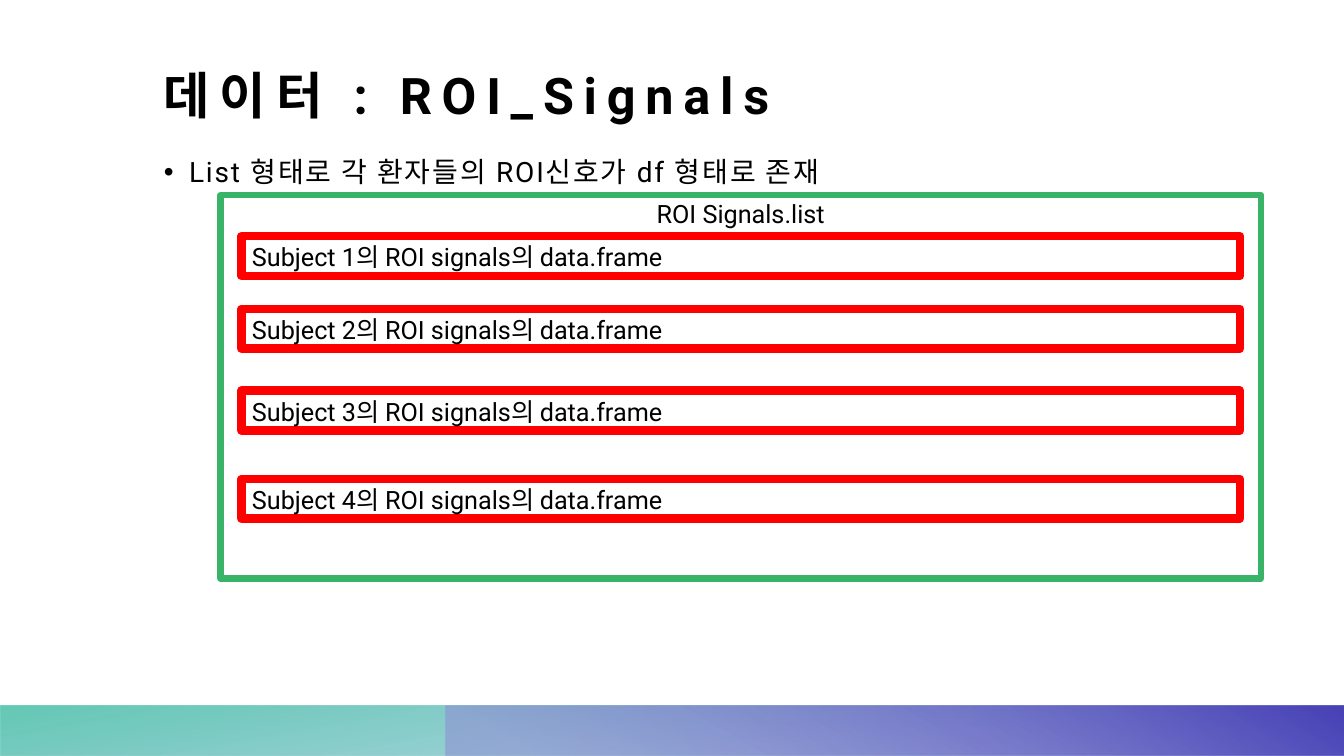
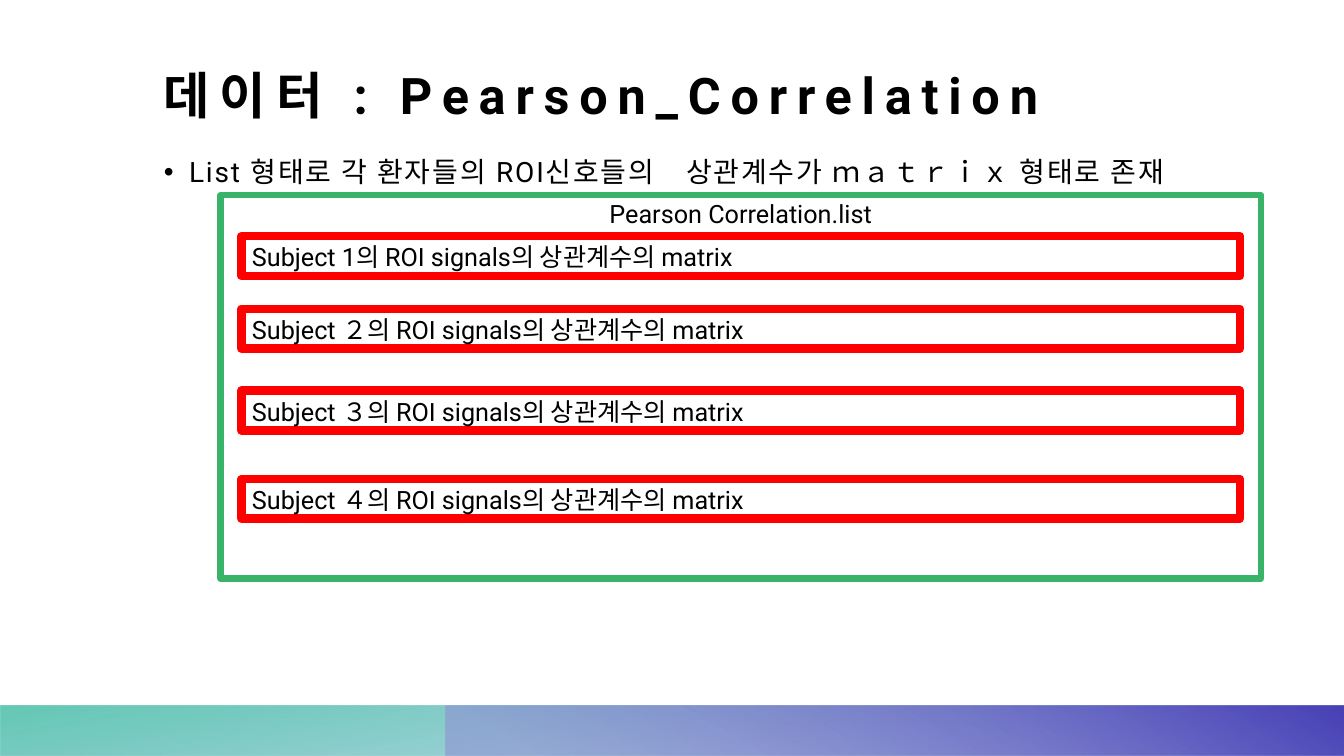
import lxml.etree
import pptx
import pptx.dml.color
import pptx.enum.shapes
import pptx.enum.text
import pptx.oxml
import pptx.oxml.ns
import pptx.util

PX = 9525  # EMU per px, 96 px to the inch
FONT = "Roboto"
BLACK, GREEN, RED = "000000", "39B368", "FF0000"
INSET = (12, 12, 12, 10)
LIST_INSET = (10, 3, 10, 5)
ROW_INSET = (10, 5, 10, 5)
RECTANGLE = pptx.enum.shapes.MSO_SHAPE.RECTANGLE
LEFT, CENTER = pptx.enum.text.PP_ALIGN.LEFT, pptx.enum.text.PP_ALIGN.CENTER
TOP, BOTTOM = pptx.enum.text.MSO_ANCHOR.TOP, pptx.enum.text.MSO_ANCHOR.BOTTOM

# box, rotation, gradient angle, stops (position, colour, opacity) in percent
BANDS = [
    ((0, 672, 1280, 48), 180, 100, [(14, "3999B3", 28), (100, "49C0A8", 85)]),
    ((424, 672, 856, 48), 0, 240, [(9, "908CD5", 55), (99, "4842B7", 100)]),
]
LIST_BOX = (210, 186, 991, 365)  # leaves room for the list name above the first row
ROW_TOPS = [225, 294, 372, 456]

SLIDES = [
    ("데이터 : ROI_Signals",
     "List 형태로 각 환자들의 ROI신호가 df 형태로 존재",
     "ROI Signals.list",
     "Subject {}의 ROI signals의 data.frame", "1234"),
    ("데이터 : Pearson_Correlation",
     "List 형태로 각 환자들의 ROI신호들의　상관계수가 ｍａｔｒｉｘ 형태로 존재",
     "Pearson Correlation.list",
     "Subject {}의 ROI signals의 상관계수의 matrix", "1２３４"),
]


def color(value):
    return pptx.dml.color.RGBColor.from_string(value)


def write(shape, text, size, inset, anchor=TOP, align=LEFT, bold=False, spacing=0, bullet=False):
    """Put one styled paragraph in the shape; spacing is in hundredths of a point."""
    frame = shape.text_frame
    frame.word_wrap = True
    frame.vertical_anchor = anchor
    frame.margin_left, frame.margin_top, frame.margin_right, frame.margin_bottom = (
        side * PX for side in inset)
    paragraph = frame.paragraphs[0]
    paragraph.alignment = align
    run = paragraph.add_run()
    run.text = text
    if spacing:
        run._r.get_or_add_rPr().set("spc", str(spacing))
    if bullet:
        paragraph.line_spacing = 1.2
        properties = paragraph._p.get_or_add_pPr()
        properties.set("marL", str(24 * PX))
        properties.set("indent", str(-24 * PX))
        for tag, name, value in (("a:buFont", "typeface", "Arial"), ("a:buChar", "char", "•")):
            lxml.etree.SubElement(properties, pptx.oxml.ns.qn(tag)).set(name, value)
    paragraph.font.name = FONT
    paragraph.font.size = pptx.util.Pt(size)
    paragraph.font.bold = bold
    paragraph.font.color.rgb = color(BLACK)


presentation = pptx.Presentation()
presentation.slide_width = 1280 * PX
presentation.slide_height = 720 * PX

for title, summary, list_name, row_text, numbers in SLIDES:
    slide = presentation.slides.add_slide(presentation.slide_layouts[6])

    for box, rotation, angle, stops in BANDS:
        band = slide.shapes.add_shape(RECTANGLE, *(length * PX for length in box))
        band.shadow.inherit = False
        band.line.fill.background()
        band.rotation = rotation
        band._element.spPr.get_or_add_xfrm().set("flipH", "1")
        stop_xml = "".join(
            f'<a:gs pos="{position * 1000}"><a:srgbClr val="{value}">'
            f'<a:alpha val="{opacity * 1000}"/></a:srgbClr></a:gs>'
            for position, value, opacity in stops)
        gradient = pptx.oxml.parse_xml(
            f'<a:gradFill {pptx.oxml.ns.nsdecls("a")} rotWithShape="1"><a:gsLst>{stop_xml}'
            f'</a:gsLst><a:lin ang="{angle * 60000}" scaled="0"/></a:gradFill>')
        band._element.spPr.find(pptx.oxml.ns.qn("a:prstGeom")).addnext(gradient)

    title_box = slide.shapes.add_textbox(144 * PX, -1 * PX, 1075 * PX, 130 * PX)
    write(title_box, title, 36, INSET, anchor=BOTTOM, bold=True, spacing=700)
    body_box = slide.shapes.add_textbox(144 * PX, 129 * PX, 1075 * PX, 509 * PX)
    write(body_box, summary, 20, INSET, spacing=130, bullet=True)

    frames = [(LIST_BOX, GREEN, 4.5, list_name, LIST_INSET, CENTER)]
    for top, number in zip(ROW_TOPS, numbers):
        frames.append(((230, top, 951, 38), RED, 6, row_text.format(number), ROW_INSET, LEFT))
    for box, outline, width, text, inset, align in frames:
        frame_shape = slide.shapes.add_shape(RECTANGLE, *(length * PX for length in box))
        frame_shape.shadow.inherit = False
        frame_shape.fill.background()
        frame_shape.line.color.rgb = color(outline)
        frame_shape.line.width = pptx.util.Pt(width)
        write(frame_shape, text, 18, inset, align=align)

presentation.save("out.pptx")
